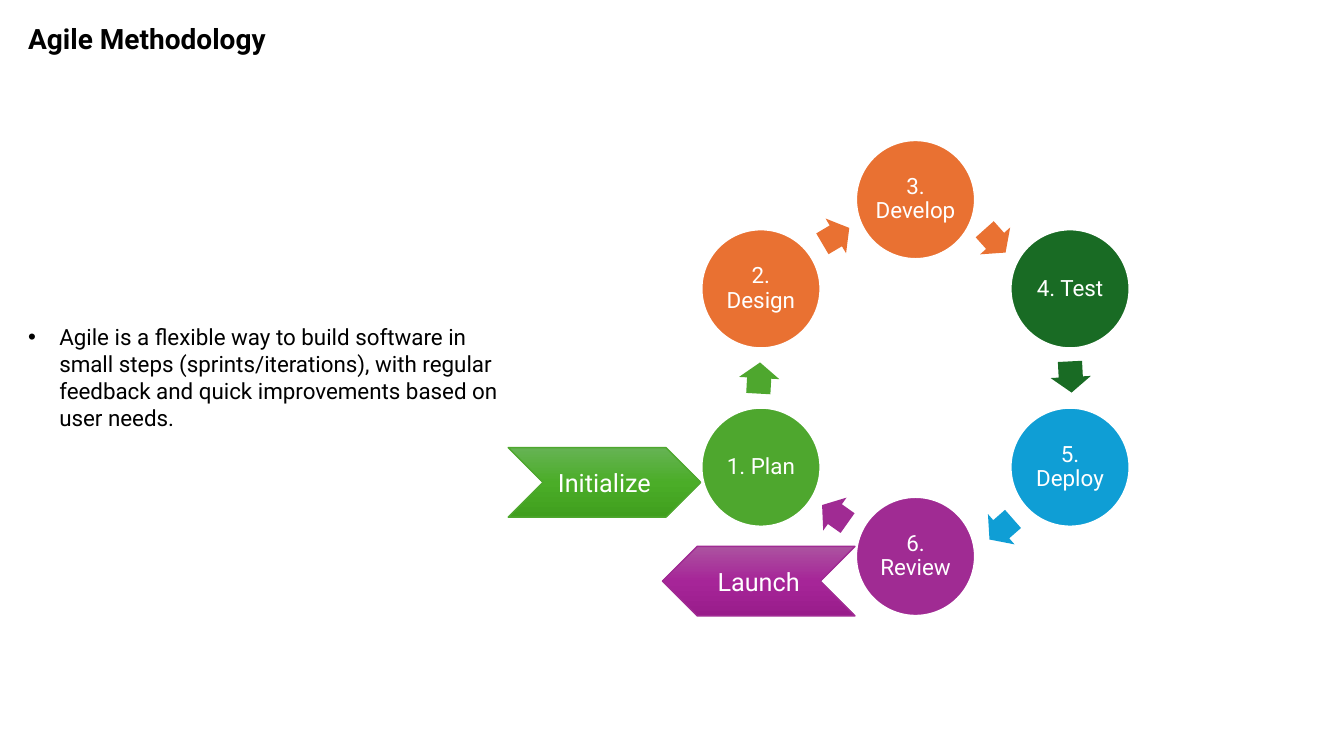
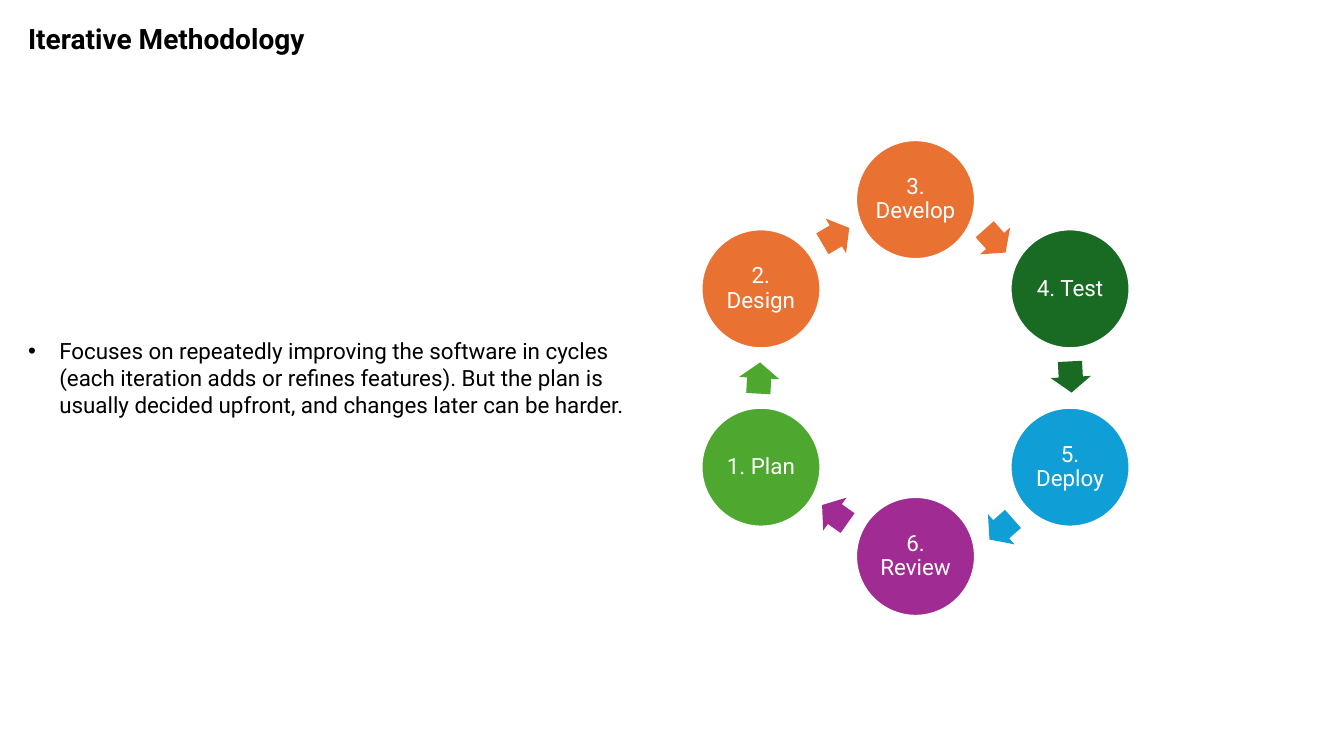
"""Build two slides comparing the Agile and Iterative methodologies."""
from copy import deepcopy
from math import cos, radians, sin

from lxml.etree import SubElement
from pptx import Presentation
from pptx.dml.color import RGBColor
from pptx.enum.shapes import MSO_SHAPE as SHAPE
from pptx.enum.text import MSO_ANCHOR as ANCHOR, MSO_AUTO_SIZE as FIT, PP_ALIGN as ALIGN
from pptx.oxml.ns import qn
from pptx.util import Pt

PX = 9144
FONT = "Roboto"
BLACK = RGBColor(0x00, 0x00, 0x00)
WHITE = RGBColor(0xFF, 0xFF, 0xFF)
GREEN = RGBColor(0x4E, 0xA7, 0x2E)
ORANGE = RGBColor(0xE9, 0x71, 0x32)
FOREST = RGBColor(0x19, 0x6B, 0x24)
BLUE = RGBColor(0x0F, 0x9E, 0xD5)
PURPLE = RGBColor(0xA0, 0x2B, 0x93)
GREEN_FADE = [RGBColor(0x66, 0xB3, 0x54), RGBColor(0x4B, 0xAD, 0x28), RGBColor(0x40, 0x9F, 0x1E)]
PURPLE_FADE = [RGBColor(0xAC, 0x53, 0xA0), RGBColor(0xA6, 0x25, 0x98), RGBColor(0x99, 0x1C, 0x8B)]

RING_X, RING_Y, RING_RADIUS = 908, 375, 177
CIRCLE = 118
ARROW_WIDTH, ARROW_HEIGHT = 31, 40
CHEVRON_WIDTH, CHEVRON_HEIGHT = 191, 69
INDENT = 31

STEPS = [
    ("1. Plan", GREEN, (753, 375), 273.2),
    ("2. Design", ORANGE, (829, 234), 329.5),
    ("3. Develop", ORANGE, (987, 239), 48.2),
    ("4. Test", FOREST, (1062, 374), 87),
    ("5. Deploy", BLUE, (993, 525), 138.7),
    ("6. Review", PURPLE, (828, 510), 215.3),
]
AGILE_CHEVRONS = [
    ("Initialize", 504, 444, GREEN, GREEN_FADE, False),
    ("Launch", 657, 542, PURPLE, PURPLE_FADE, True),
]
SLIDES = [
    ("Agile Methodology",
     "Agile is a flexible way to build software in small steps (sprints/iterations), "
     "with regular feedback and quick improvements based on user needs.",
     (18, 316, 486, 118), AGILE_CHEVRONS),
    ("Iterative Methodology",
     "Focuses on repeatedly improving the software in cycles (each iteration adds or "
     "refines features). But the plan is usually decided upfront, and changes later can be harder.",
     (18, 330, 648, 91), []),
]


def write(shape, text, size=16, color=BLACK, bold=False, align=ALIGN.LEFT,
          anchor=ANCHOR.TOP, spacing=None, inset=None, bullet=False):
    frame = shape.text_frame
    frame.word_wrap = True
    frame.vertical_anchor = anchor
    if inset is not None:
        frame.margin_left = frame.margin_right = inset * PX
        frame.margin_top = frame.margin_bottom = inset * PX
    para = frame.paragraphs[0]
    para.alignment = align
    para.line_spacing = spacing
    if bullet:
        props = para._p.get_or_add_pPr()
        props.set("marL", str(INDENT * PX))
        props.set("indent", str(-INDENT * PX))
        SubElement(props, qn("a:buFont"), typeface="Arial")
        SubElement(props, qn("a:buChar"), char="•")
    span = para.add_run()
    span.text = text
    span.font.name = FONT
    span.font.size = Pt(size)
    span.font.bold = bold
    span.font.color.rgb = color


def add_shape(page, kind, left, top, width, height, fill=None):
    shape = page.shapes.add_shape(kind, round(left * PX), round(top * PX), width * PX, height * PX)
    shape.shadow.inherit = False
    shape.line.fill.background()
    if fill is not None:
        shape.fill.solid()
        shape.fill.fore_color.rgb = fill
    return shape


deck = Presentation()
deck.slide_width = 1333 * PX
deck.slide_height = 750 * PX

for title, summary, summary_area, chevrons in SLIDES:
    page = deck.slides.add_slide(deck.slide_layouts[6])
    for text, area, style in [
        (title, (18, 16, 1294, 44), {"size": 20, "bold": True}),
        (summary, summary_area, {"bullet": True}),
    ]:
        box = page.shapes.add_textbox(*[length * PX for length in area])
        write(box, text, **style)
        box.text_frame.auto_size = FIT.SHAPE_TO_FIT_TEXT

    for index, (label, color, (arrow_x, arrow_y), turn) in enumerate(STEPS):
        angle = radians(150 + 60 * index)
        left = RING_X + RING_RADIUS * cos(angle) - CIRCLE / 2
        top = RING_Y + RING_RADIUS * sin(angle) - CIRCLE / 2
        circle = add_shape(page, SHAPE.OVAL, left, top, CIRCLE, CIRCLE, color)
        circle.line.color.rgb = WHITE
        circle.line.width = Pt(1.5)
        write(circle, label, color=WHITE, align=ALIGN.CENTER, anchor=ANCHOR.MIDDLE,
              spacing=0.9, inset=2)
        arrow = add_shape(page, SHAPE.RIGHT_ARROW, arrow_x - ARROW_WIDTH / 2,
                          arrow_y - ARROW_HEIGHT / 2, ARROW_WIDTH, ARROW_HEIGHT, color)
        arrow.adjustments[0] = 0.6
        arrow.adjustments[1] = 0.5
        arrow.rotation = turn

    for label, left, top, color, fade, mirrored in chevrons:
        chevron = add_shape(page, SHAPE.CHEVRON, left, top, CHEVRON_WIDTH, CHEVRON_HEIGHT)
        chevron.line.color.rgb = color
        chevron.line.width = Pt(1)
        chevron.fill.gradient()
        chevron.fill.gradient_angle = 270
        stop_list = chevron.element.spPr.find(qn("a:gradFill")).find(qn("a:gsLst"))
        stop_list.append(deepcopy(stop_list[0]))
        for stop, shade, position in zip(chevron.fill.gradient_stops, fade, (0, 0.5, 1)):
            stop.color.rgb = shade
            stop.position = position
        if mirrored:
            chevron.element.spPr.xfrm.set("flipH", "1")
        write(chevron, label, size=18, color=WHITE, align=ALIGN.CENTER, anchor=ANCHOR.MIDDLE)

deck.save("out.pptx")
